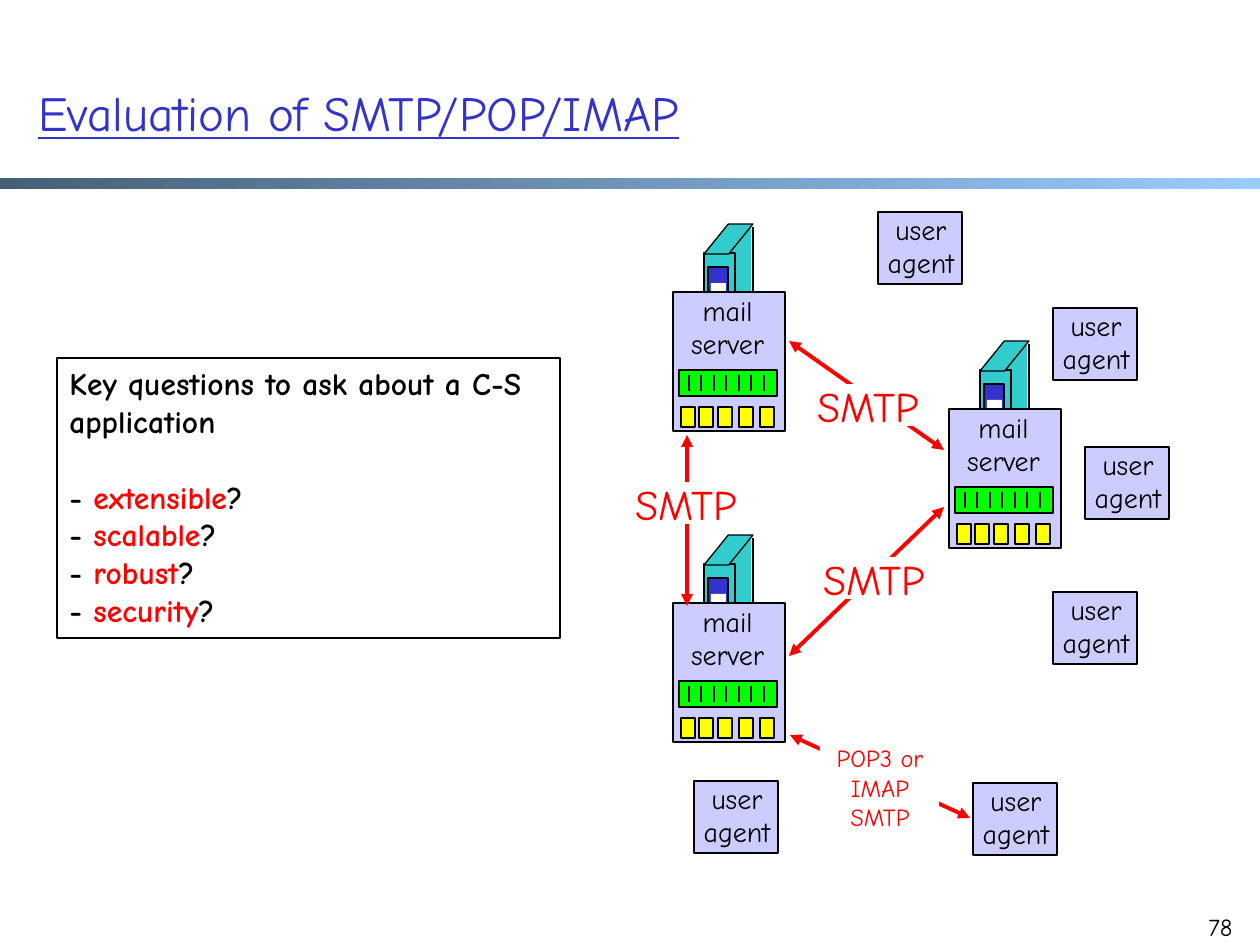
from dataclasses import dataclass
from typing import Any, NamedTuple

from lxml import etree
from pptx import Presentation
from pptx.dml.color import RGBColor
from pptx.enum.shapes import MSO_CONNECTOR, MSO_SHAPE
from pptx.enum.text import MSO_ANCHOR, MSO_AUTO_SIZE, PP_ALIGN
from pptx.oxml.ns import qn
from pptx.util import Emu, Pt

RECT, PARALLELOGRAM = MSO_SHAPE.RECTANGLE, MSO_SHAPE.PARALLELOGRAM
STRAIGHT = MSO_CONNECTOR.STRAIGHT
LEFT, CENTER, RIGHT = PP_ALIGN.LEFT, PP_ALIGN.CENTER, PP_ALIGN.RIGHT
TOP, MIDDLE = MSO_ANCHOR.TOP, MSO_ANCHOR.MIDDLE
GROW = MSO_AUTO_SIZE.SHAPE_TO_FIT_TEXT
PX_PER_INCH = 126


@dataclass(frozen=True)
class Theme:
    font: str = "Comic Neue"
    ink: str = "000000"
    paper: str = "FFFFFF"
    blue: str = "3333CC"
    accent: str = "FF0000"
    bar_start: str = "475E76"
    bar_end: str = "99CCFF"
    panel: str = "CCCCFF"
    tower: str = "33CCCC"
    queue: str = "00FF00"
    mailbox: str = "FFFF00"
    title_size: int = 28
    protocol_size: int = 24
    question_size: int = 18
    node_size: int = 16
    small_size: int = 14
    thin: float = 0.75
    medium: float = 1.5
    thick: float = 2.25


THEME = Theme()


class Box(NamedTuple):
    left: int
    top: int
    width: int
    height: int

    def shifted(self, x: int, y: int) -> "Box":
        return Box(self.left + x, self.top + y, self.width, self.height)


class Point(NamedTuple):
    x: int
    y: int


class Link(NamedTuple):
    start: Point
    end: Point


class Span(NamedTuple):
    text: str
    color: str = THEME.ink


class Part(NamedTuple):
    box: Box
    fill: str
    line: float = 0
    kind: Any = RECT


TOWER_PARTS = [
    Part(Box(55, -67, 23, 98), THEME.tower),
    Part(Box(31, -39, 31, 98), THEME.tower, THEME.thin),
    Part(Box(31, -68, 49, 30), THEME.tower, THEME.thin, PARALLELOGRAM),
    Part(Box(35, -25, 20, 57), THEME.blue, THEME.thin),
    Part(Box(38, -9, 15, 20), THEME.paper),
]
SERVER_PANEL = Part(Box(0, 0, 112, 139), THEME.panel, THEME.medium)
QUEUE = Part(Box(6, 78, 98, 26), THEME.queue, THEME.medium)
QUEUE_TICKS = [16 + step * 75 // 6 for step in range(7)]
MAILBOXES = [Part(Box(x, 115, 14, 20), THEME.mailbox, THEME.thin) for x in (8, 26, 45, 66, 87)]
AGENT_PANEL = Part(Box(0, 0, 84, 72), THEME.panel, THEME.medium)
LABEL_MASK = Part(Box(11, 10, 118, 42), THEME.paper)

SERVERS = [Point(949, 409), Point(673, 603), Point(673, 292)]
AGENTS = [Point(1053, 308), Point(1085, 447), Point(1053, 592),
          Point(973, 783), Point(694, 781), Point(878, 212)]
SERVER_LINKS = [Link(Point(789, 341), Point(944, 450)),
                Link(Point(789, 656), Point(944, 507)),
                Link(Point(687, 606), Point(687, 435))]
AGENT_LINK = Link(Point(790, 735), Point(970, 818))
PROTOCOL_LABELS = [Point(803, 547), Point(797, 374), Point(615, 472)]
QUESTIONS = ["extensible", "scalable", "robust", "security"]


def px(length: int) -> Emu:
    return Emu(round(length * 914400 / PX_PER_INCH))


def rgb(color: str) -> RGBColor:
    return RGBColor.from_string(color)


def add_part(shapes: Any, part: Part, x: int = 0, y: int = 0) -> Any:
    """Draw a filled preset shape, moved by x and y; line width 0 means no outline."""
    shape = shapes.add_shape(part.kind, *map(px, part.box.shifted(x, y)))
    shape.shadow.inherit = False
    shape.fill.solid()
    shape.fill.fore_color.rgb = rgb(part.fill)
    if part.line:
        shape.line.color.rgb = rgb(THEME.ink)
        shape.line.width = Pt(part.line)
    else:
        shape.line.fill.background()
    if part.kind == PARALLELOGRAM:
        shape.adjustments[0] = 0.81
    return shape


def add_line(shapes: Any, link: Link, color: str, width: float, arrows: bool = False) -> None:
    line = shapes.add_connector(STRAIGHT, *map(px, (*link.start, *link.end)))
    line.line.color.rgb = rgb(color)
    line.line.width = Pt(width)
    if arrows:
        outline = line.line._get_or_add_ln()
        for end in ("a:headEnd", "a:tailEnd"):
            etree.SubElement(outline, qn(end), type="triangle")
    etree.SubElement(line._element.spPr, qn("a:effectLst"))


def add_text(shapes: Any, box: Box, paras: list[list[Span]], *, size: int,
             align: Any = LEFT, anchor: Any = TOP, wrap: bool = False, grow: bool = True,
             bold: bool = False, underline: bool = False, first_gap: float = 0) -> Any:
    """Write one paragraph per list of spans; first_gap is the space after the first."""
    text_box = shapes.add_textbox(*map(px, box))
    frame = text_box.text_frame
    frame.word_wrap = wrap
    frame.vertical_anchor = anchor
    if grow:
        frame.auto_size = GROW
    for index, spans in enumerate(paras):
        para = frame.add_paragraph() if index else frame.paragraphs[0]
        para.alignment = align
        if first_gap and index == 0:
            para.space_after = Pt(first_gap)
        for span in spans:
            run = para.add_run()
            run.text = span.text
            run.font.name = THEME.font
            run.font.size = Pt(size)
            run.font.bold = bold
            run.font.underline = underline
            run.font.color.rgb = rgb(span.color)
    return text_box


def add_server(slide: Any, at: Point) -> None:
    shapes = slide.shapes.add_group_shape().shapes
    for part in TOWER_PARTS:
        add_part(shapes, part, *at)
    edge = at.x + 80
    add_line(shapes, Link(Point(edge, at.y - 65), Point(edge, at.y + 32)), THEME.ink, THEME.thin)
    add_part(shapes, SERVER_PANEL, *at)
    add_text(shapes, Box(-1, -5, 111, 81).shifted(*at), [[Span("mail")], [Span("server")]],
             size=THEME.node_size, align=CENTER)
    add_part(shapes, QUEUE, *at)
    for tick in QUEUE_TICKS:
        x = at.x + tick
        add_line(shapes, Link(Point(x, at.y + 83), Point(x, at.y + 99)), THEME.ink, THEME.medium)
    for mailbox in MAILBOXES:
        add_part(shapes, mailbox, *at)


def add_agent(slide: Any, at: Point) -> None:
    shapes = slide.shapes.add_group_shape().shapes
    add_part(shapes, AGENT_PANEL, *at)
    add_text(shapes, Box(-6, -6, 98, 81).shifted(*at), [[Span("user")], [Span("agent")]],
             size=THEME.node_size, align=CENTER)


def add_protocol_label(slide: Any, at: Point) -> None:
    shapes = slide.shapes.add_group_shape().shapes
    add_part(shapes, LABEL_MASK, *at)
    add_text(shapes, Box(*at, 142, 63), [[Span("SMTP", THEME.accent)]],
             size=THEME.protocol_size, align=CENTER)


def add_frame(slide: Any) -> None:
    """Draw the title, the gradient bar and the page number."""
    bar = add_part(slide.shapes, Part(Box(0, 178, 1260, 11), THEME.bar_start))
    bar.fill.gradient()
    bar.fill.gradient_angle = 0
    for stop, color in zip(bar.fill.gradient_stops, (THEME.bar_start, THEME.bar_end)):
        stop.color.rgb = rgb(color)
    add_text(slide.shapes, Box(1182, 906, 63, 63), [[Span("78")]],
             size=THEME.small_size, align=RIGHT, wrap=True, grow=False)
    add_text(slide.shapes, Box(26, 33, 1155, 158),
             [[Span("Evaluation of SMTP/POP/IMAP", THEME.blue)]], size=THEME.title_size,
             anchor=MIDDLE, wrap=True, grow=False, underline=True)


def add_questions(slide: Any) -> None:
    paras = [[Span("Key questions to ask about a C-S application")]]
    paras += [[Span("- "), Span(word, THEME.accent), Span("?")] for word in QUESTIONS]
    panel = add_text(slide.shapes, Box(57, 358, 503, 280), paras, size=THEME.question_size,
                     wrap=True, bold=True, first_gap=21.6)
    panel.line.color.rgb = rgb(THEME.ink)
    panel.line.width = Pt(THEME.thin)


def add_access_label(slide: Any) -> None:
    shapes = slide.shapes.add_group_shape().shapes
    add_part(shapes, Part(Box(820, 730, 118, 42), THEME.paper))
    paras = [[Span(text, THEME.accent)] for text in ("POP3 or", "IMAP", "SMTP")]
    label = add_text(shapes, Box(821, 737, 118, 102), paras, size=THEME.small_size, align=CENTER)
    label.fill.solid()
    label.fill.fore_color.rgb = rgb(THEME.paper)


def main() -> None:
    deck = Presentation()
    deck.slide_width, deck.slide_height = px(1260), px(945)
    slide = deck.slides.add_slide(deck.slide_layouts[6])
    add_frame(slide)
    add_questions(slide)
    for server in SERVERS:
        add_server(slide, server)
    for agent in AGENTS:
        add_agent(slide, agent)
    for link in SERVER_LINKS:
        add_line(slide.shapes, link, THEME.accent, THEME.thick, arrows=True)
    for label in PROTOCOL_LABELS:
        add_protocol_label(slide, label)
    add_line(slide.shapes, AGENT_LINK, THEME.accent, THEME.thick, arrows=True)
    add_access_label(slide)
    deck.save("out.pptx")


if __name__ == "__main__":
    main()
